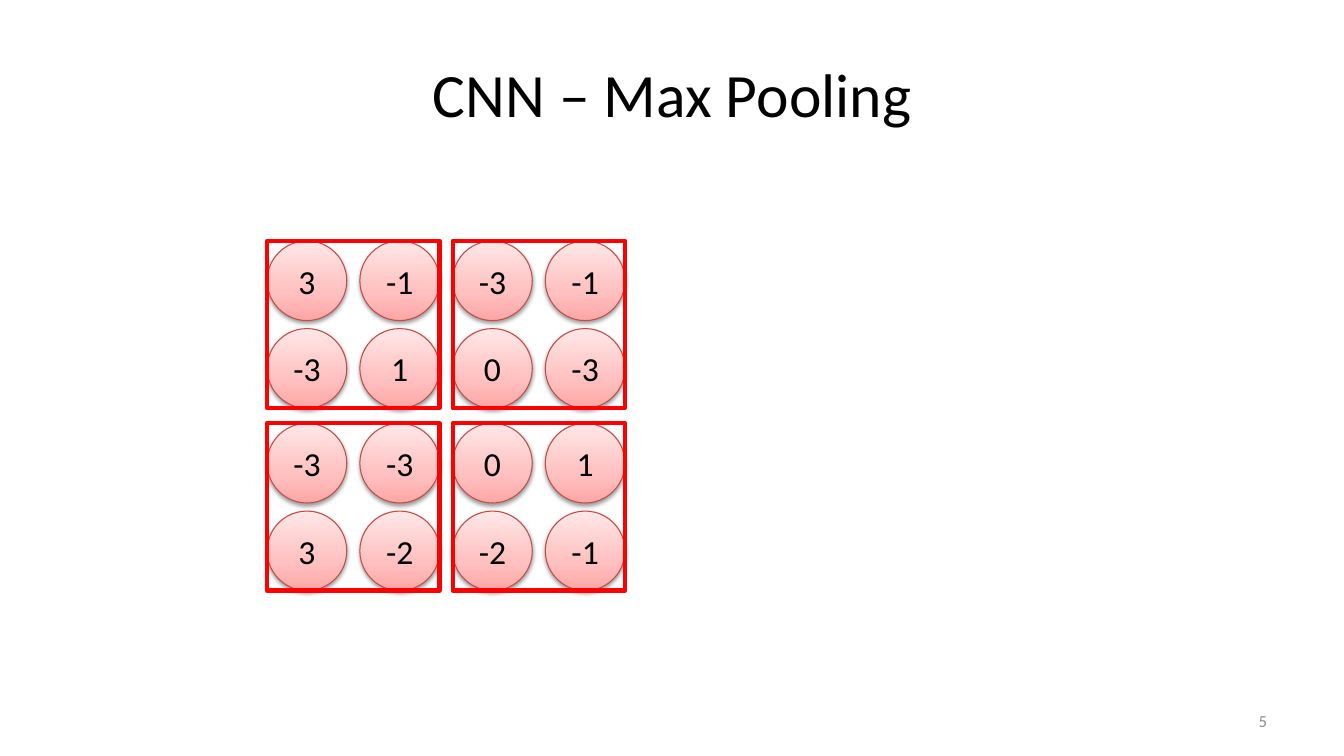
from lxml import etree
from pptx import Presentation
from pptx.dml.color import RGBColor
from pptx.enum.shapes import MSO_SHAPE
from pptx.enum.text import MSO_ANCHOR, PP_ALIGN
from pptx.oxml import parse_xml
from pptx.util import Inches, Pt

OVAL, RECT = MSO_SHAPE.OVAL, MSO_SHAPE.RECTANGLE
MIDDLE = MSO_ANCHOR.MIDDLE
CENTER, RIGHT = PP_ALIGN.CENTER, PP_ALIGN.RIGHT
NS = "http://schemas.openxmlformats.org/drawingml/2006/main"

# Feature map and its grid, in inches
VALUES = [
    [3, -1, -3, -1],
    [-3, 1, 0, -3],
    [-3, -3, 0, 1],
    [3, -2, -2, -1],
]
SIZE = 0.79
COLS = [2.65 + 0.92 * i for i in range(4)]
ROWS = [2.39 + 1.81 * (i // 2) + 0.87 * (i % 2) for i in range(4)]
STOPS = [(0, "FFA6A5"), (35, "FFC0BF"), (100, "FFE7E7")]


def color(code):
    return RGBColor.from_string(code)


def box(x, y, w, h):
    return [Inches(v) for v in (x, y, w, h)]


def write(shape, text, size=24, ink="000000", align=CENTER, margin=0.1):
    frame = shape.text_frame
    frame.word_wrap = True
    frame.vertical_anchor = MIDDLE
    frame.margin_left = frame.margin_right = Inches(margin)
    para = frame.paragraphs[0]
    para.alignment = align
    run = para.add_run()
    run.text = text
    run.font.size = Pt(size)
    run.font.name = "Calibri"
    run.font.color.rgb = color(ink)


def outline(shape, code, width):
    shape.shadow.inherit = False
    shape.line.color.rgb = color(code)
    shape.line.width = Pt(width)


def shade(shape):
    """Gradient from the bottom up, and a soft shadow below."""
    stops = "".join(
        f'<a:gs pos="{pos * 1000}"><a:srgbClr val="{code}"/></a:gs>'
        for pos, code in STOPS)
    fill = parse_xml(
        f'<a:gradFill xmlns:a="{NS}" rotWithShape="1"><a:gsLst>{stops}</a:gsLst>'
        '<a:lin ang="16200000" scaled="0"/></a:gradFill>')
    props = shape.element.spPr
    props.find(f"{{{NS}}}ln").addprevious(fill)
    glow = etree.SubElement(
        props.find(f"{{{NS}}}effectLst"), f"{{{NS}}}outerShdw",
        blurRad=str(Pt(3.1)), dist=str(Pt(1.6)), dir="5400000", rotWithShape="0")
    tint = etree.SubElement(glow, f"{{{NS}}}srgbClr", val="000000")
    etree.SubElement(tint, f"{{{NS}}}alpha", val="38000")


def cell(slide, x, y, value):
    oval = slide.shapes.add_shape(OVAL, *box(x, y, SIZE, SIZE))
    outline(oval, "BF4C48", 0.75)
    shade(oval)
    write(oval, str(value), margin=0)


def pool(slide, x, y):
    rect = slide.shapes.add_shape(RECT, *box(x, y, 0.92 + SIZE, 0.87 + SIZE))
    rect.fill.background()
    outline(rect, "FF0000", 3)


def main():
    deck = Presentation()
    deck.slide_width, deck.slide_height = Inches(13.333), Inches(7.5)
    slide = deck.slides.add_slide(deck.slide_layouts[5])

    # Title
    title = slide.shapes.title
    title.left, title.top, title.width, title.height = box(0.67, 0.3, 12, 1.25)
    write(title, "CNN – Max Pooling", size=44)

    # Values
    for y, row in zip(ROWS, VALUES):
        for x, value in zip(COLS, row):
            cell(slide, x, y, value)

    # Pooling windows, two by two
    for y in ROWS[::2]:
        for x in COLS[::2]:
            pool(slide, x, y)

    # Page number
    page = slide.shapes.add_textbox(*box(9.56, 6.95, 3.11, 0.4))
    write(page, "5", size=12, ink="8C8C8C", align=RIGHT)

    deck.save("out.pptx")


if __name__ == "__main__":
    main()
